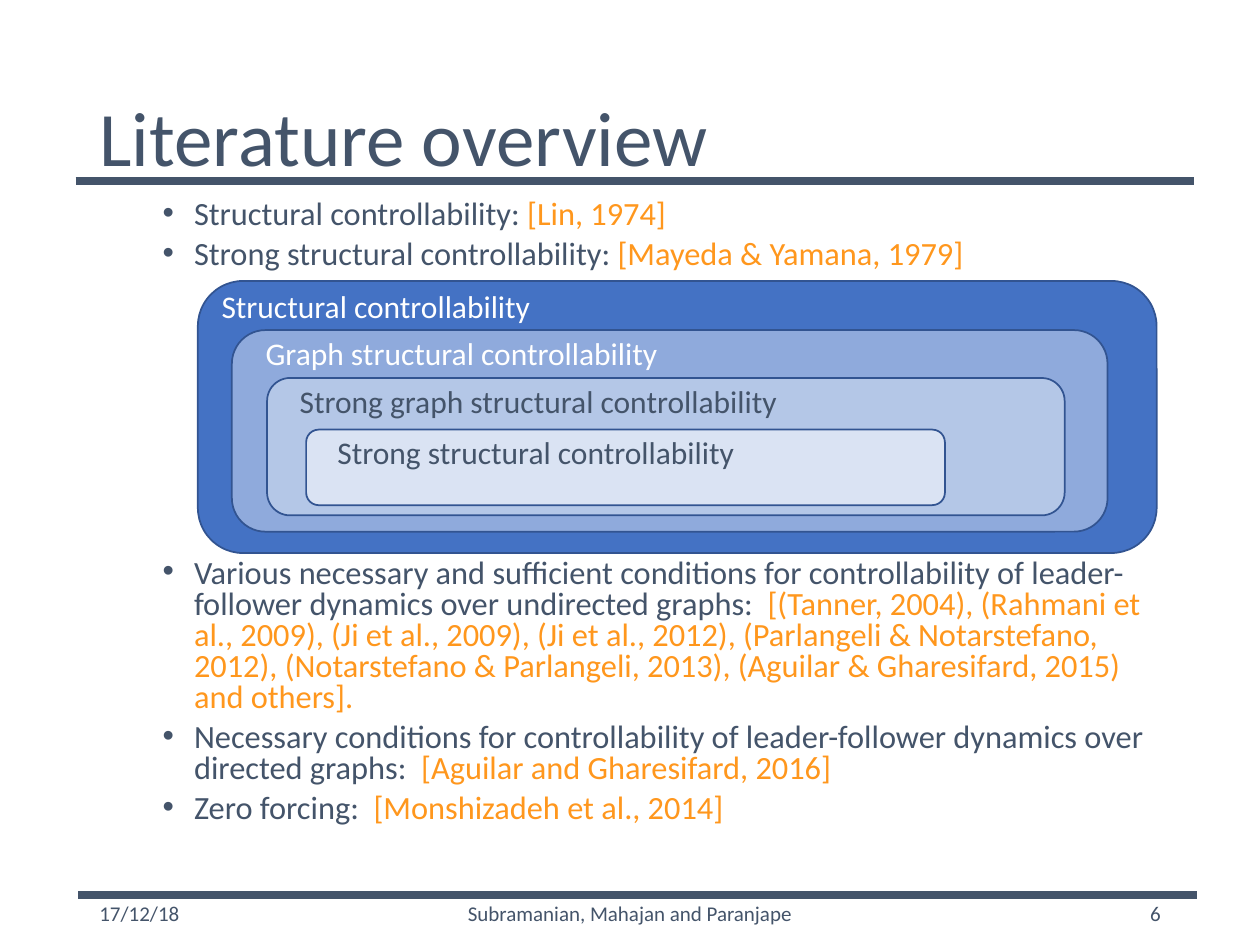
from lxml.etree import SubElement
from pptx import Presentation
from pptx.dml.color import RGBColor
from pptx.enum.shapes import MSO_CONNECTOR, MSO_SHAPE
from pptx.enum.text import MSO_ANCHOR, MSO_AUTO_SIZE, PP_ALIGN
from pptx.oxml.ns import qn
from pptx.util import Emu, Pt

FONT = "Calibri"
SLATE, ORANGE, WHITE, OUTLINE = "44546A", "FF971D", "FFFFFF", "325491"
DIAGRAM_GAP = 164.5  # points left free in the list for the nested diagram

# Statement, citation, space before in points
BULLETS = [
    ("Structural controllability: ", "[Lin, 1974]", 5),
    ("Strong structural controllability: ", "[Mayeda & Yamana, 1979]", 5),
    ("Various necessary and sufficient conditions for controllability of "
     "leader-follower dynamics over undirected graphs:  ",
     "[(Tanner, 2004), (Rahmani et al., 2009), (Ji et al., 2009), "
     "(Ji et al., 2012), (Parlangeli & Notarstefano, 2012), "
     "(Notarstefano & Parlangeli, 2013), (Aguilar & Gharesifard, 2015) "
     "and others].", DIAGRAM_GAP),
    ("Necessary conditions for controllability of leader-follower dynamics "
     "over directed graphs:  ", "[Aguilar and Gharesifard, 2016]", 5),
    ("Zero forcing:  ", "[Monshizadeh et al., 2014]", 5),
]

# Label, text colour, fill, box, label position and width; outermost first
NESTED_CLASSES = [
    ("Structural controllability", WHITE, "4472C4",
     (157, 223, 761, 216), (166, 223, 331)),
    ("Graph structural controllability", WHITE, "8FAADC",
     (184, 262, 695, 160), (201, 260, 393)),
    ("Strong graph structural controllability", SLATE, "B4C7E7",
     (212, 300, 633, 109), (228, 298, 454)),
    ("Strong structural controllability", SLATE, "DAE3F3",
     (243, 341, 507, 60), (258, 339, 454)),
]

FOOTERS = [
    ("17/12/18", 69, 225, PP_ALIGN.LEFT),
    ("Subramanian, Mahajan and Paranjape", 331, 338, PP_ALIGN.CENTER),
    ("6", 706, 225, PP_ALIGN.RIGHT),
]


def px(length):
    """Convert px to EMU, at 100 px to the inch."""
    return Emu(length * 9144)


def color(hex_string):
    return RGBColor.from_string(hex_string)


def place(shape, left, top, width, height):
    shape.left, shape.top = px(left), px(top)
    shape.width, shape.height = px(width), px(height)


def add_run(paragraph, text, size, hex_string):
    run = paragraph.add_run()
    run.text = text
    run.font.name = FONT
    run.font.size = Pt(size)
    run.font.color.rgb = color(hex_string)


def add_label(shapes, text, box, size, hex_string,
              alignment=PP_ALIGN.LEFT, anchor=MSO_ANCHOR.TOP):
    frame = shapes.add_textbox(*map(px, box)).text_frame
    frame.word_wrap = True
    frame.vertical_anchor = anchor
    paragraph = frame.paragraphs[0]
    paragraph.alignment = alignment
    add_run(paragraph, text, size, hex_string)


def add_rule(slide, left, right, y):
    rule = slide.shapes.add_connector(
        MSO_CONNECTOR.STRAIGHT, px(left), px(y), px(right), px(y))
    rule.line.color.rgb = color(SLATE)
    rule.line.width = Pt(4.5)
    SubElement(rule._element.spPr, qn("a:effectLst"))


def fill_title(title):
    place(title, 69, 40, 862, 145)
    title.text_frame.vertical_anchor = MSO_ANCHOR.MIDDLE
    title.text_frame.auto_size = MSO_AUTO_SIZE.NONE
    paragraph = title.text_frame.paragraphs[0]
    paragraph.alignment = PP_ALIGN.LEFT
    paragraph.line_spacing = 0.9
    add_run(paragraph, "Literature overview", 44, SLATE)


def format_bullet(paragraph, space_before):
    paragraph.level = 1
    paragraph.line_spacing = 0.8
    paragraph.space_before = Pt(space_before)
    properties = paragraph._p.get_or_add_pPr()
    properties.set("marL", str(px(75)))
    properties.set("indent", str(px(-25)))
    SubElement(properties, qn("a:buFont"), typeface="Arial")
    SubElement(properties, qn("a:buChar"), char="•")


def fill_body(body):
    place(body, 69, 154, 862, 521)
    frame = body.text_frame
    frame.auto_size = MSO_AUTO_SIZE.NONE
    for index, (statement, citation, space_before) in enumerate(BULLETS):
        paragraph = frame.add_paragraph() if index else frame.paragraphs[0]
        format_bullet(paragraph, space_before)
        add_run(paragraph, statement, 18.5, SLATE)
        add_run(paragraph, citation, 18.5, ORANGE)


def add_nested_class(slide, label, text_color, fill, box, label_place):
    group = slide.shapes.add_group_shape()
    shape = group.shapes.add_shape(
        MSO_SHAPE.ROUNDED_RECTANGLE, *map(px, box))
    shape.shadow.inherit = False
    shape.fill.solid()
    shape.fill.fore_color.rgb = color(fill)
    shape.line.color.rgb = color(OUTLINE)
    shape.line.width = Pt(1)
    add_label(group.shapes, label, (*label_place, 40), 18, text_color)


def main():
    presentation = Presentation()
    presentation.slide_width, presentation.slide_height = px(1000), px(750)
    slide = presentation.slides.add_slide(presentation.slide_layouts[1])

    # Rules under the title and above the footer
    add_rule(slide, 60, 948, 144)
    add_rule(slide, 62, 950, 710)

    # Title and list
    fill_title(slide.shapes.title)
    fill_body(slide.placeholders[1])

    # Footer
    for text, left, width, alignment in FOOTERS:
        add_label(slide.shapes, text, (left, 705, width, 40), 12, SLATE,
                  alignment, MSO_ANCHOR.MIDDLE)

    # Nested controllability classes
    for nested_class in NESTED_CLASSES:
        add_nested_class(slide, *nested_class)

    presentation.save("out.pptx")


if __name__ == "__main__":
    main()
